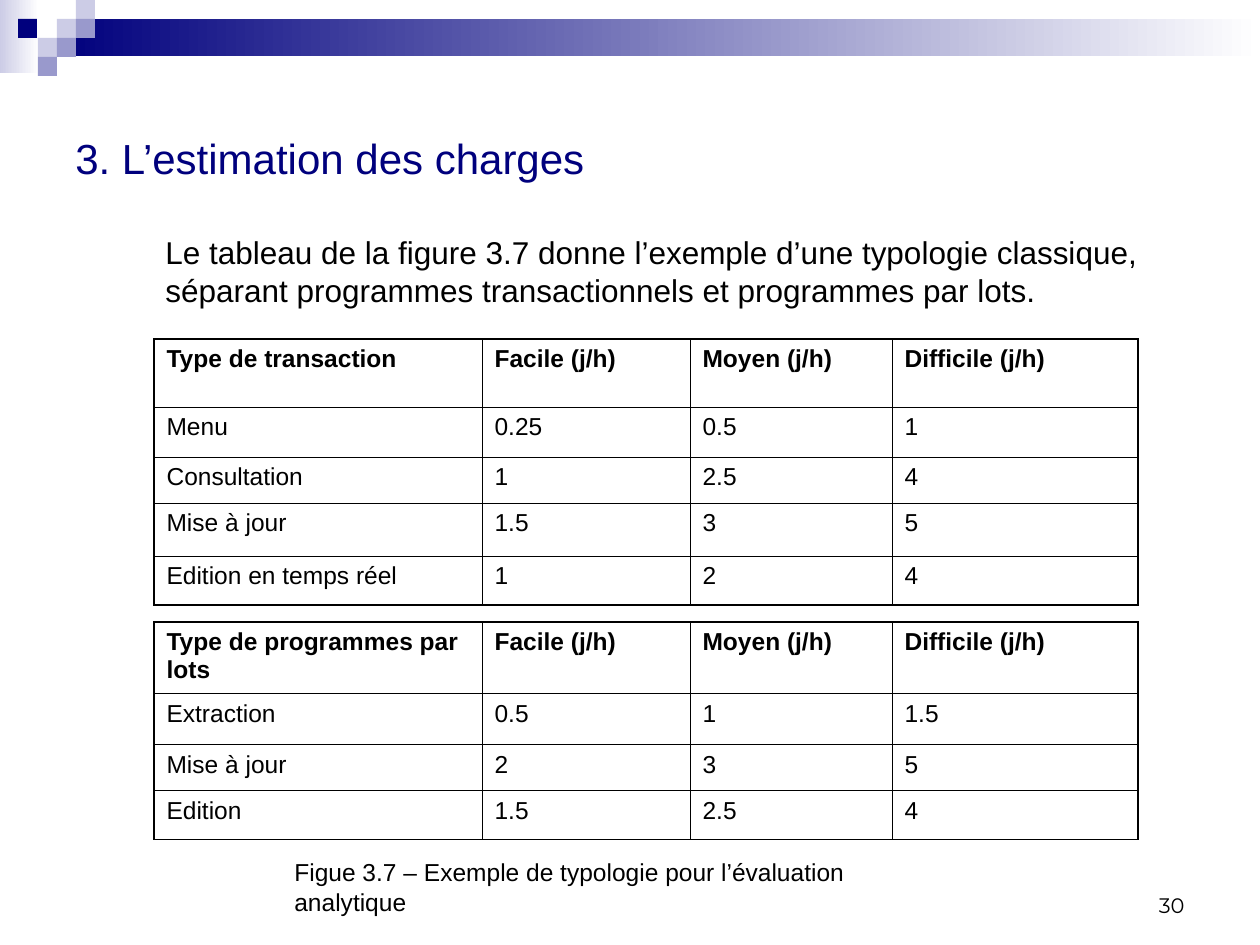
from lxml import etree
from pptx import Presentation
from pptx import util as u
from pptx.dml.color import RGBColor
from pptx.enum import shapes, text
from pptx.oxml import ns

PX = 914400 / 126
COLORS = {"navy": "00007D", "violet": "9999CC", "lilac": "CCCCE6",
          "white": "FFFFFF", "black": "000000"}
BANDS = [((0, 0, 39, 73), ("lilac", "white")),
         ((57, 19, 1203, 37), ("navy", "white"))]
SQUARE = 19
SQUARES = [(57, 19, "lilac"), (76, 0, "lilac"), (76, 19, "violet"), (38, 38, "lilac"),
           (18, 19, "navy"), (57, 38, "violet"), (38, 57, "violet")]
TEXTS = [
    ("30", (903, 861, 294, 63), 12, "Montserrat", "black", "BOTTOM", "RIGHT", True),
    ("3. L’estimation des charges", (63, 63, 1134, 189), 24, "Arial", "navy",
     "MIDDLE", "LEFT", True),
    ("Le tableau de la figure 3.7 donne l’exemple d’une typologie classique, "
     "séparant programmes transactionnels et programmes par lots.",
     (153, 227, 1049, 90), 18, "Arial", "black", "TOP", "LEFT", True),
    ("Figue 3.7 – Exemple de typologie pour l’évaluation analytique",
     (282, 851, 694, 43), 14, "Arial", "black", "TOP", "LEFT", False),
]
LEVELS = ["Facile (j/h)", "Moyen (j/h)", "Difficile (j/h)"]
TABLE_LEFT = 154
COLUMNS = [328, 208, 202, 246]
TABLES = [
    (339, [68, 50, 46, 53, 49], [
        ["Type de transaction", *LEVELS],
        ["Menu", "0.25", "0.5", "1"],
        ["Consultation", "1", "2.5", "4"],
        ["Mise à jour", "1.5", "3", "5"],
        ["Edition en temps réel", "1", "2", "4"]]),
    (622, [71, 51, 46, 49], [
        ["Type de programmes par lots", *LEVELS],
        ["Extraction", "0.5", "1", "1.5"],
        ["Mise à jour", "2", "3", "5"],
        ["Edition", "1.5", "2.5", "4"]]),
]


def emu(*lengths):
    return [round(length * PX) for length in lengths]


def rgb(name):
    return RGBColor.from_string(COLORS[name])


def style(para, size, face, color, bold=False):
    for span in para.runs:
        span.font.size = u.Pt(size)
        span.font.name = face
        span.font.bold = bold
        span.font.color.rgb = rgb(color)


def add_rect(page, frame, colors):
    rect = page.shapes.add_shape(shapes.MSO_SHAPE.RECTANGLE, *emu(*frame))
    rect.shadow.inherit = False
    rect.line.fill.background()
    if len(colors) == 1:
        rect.fill.solid()
        rect.fill.fore_color.rgb = rgb(colors[0])
        return
    rect.fill.gradient()
    rect.fill.gradient_angle = 0
    for stop, color in zip(rect.fill.gradient_stops, colors):
        stop.color.rgb = rgb(color)


def add_text(page, words, frame, size, face, color, anchor, align, wrap):
    box = page.shapes.add_textbox(*emu(*frame))
    box.text_frame.word_wrap = wrap
    box.text_frame.vertical_anchor = text.MSO_ANCHOR[anchor]
    box.text_frame.text = words
    para = box.text_frame.paragraphs[0]
    para.alignment = text.PP_ALIGN[align]
    style(para, size, face, color)


def add_border(cell, side, points):
    line = etree.Element(ns.qn(f"a:{side}"), w=str(u.Pt(points)))
    fill = etree.SubElement(line, ns.qn("a:solidFill"))
    etree.SubElement(fill, ns.qn("a:srgbClr"), val=COLORS["black"])
    return line


def add_table(page, top, heights, rows):
    frame = emu(TABLE_LEFT, top, sum(COLUMNS), sum(heights))
    table = page.shapes.add_table(len(rows), len(COLUMNS), *frame).table
    for column, width in zip(table.columns, emu(*COLUMNS)):
        column.width = width
    for row, height in zip(table.rows, emu(*heights)):
        row.height = height
    last_row, last_col = len(rows) - 1, len(COLUMNS) - 1
    for r, row in enumerate(rows):
        for c, words in enumerate(row):
            cell = table.cell(r, c)
            cell.text = words
            cell.fill.background()
            style(cell.text_frame.paragraphs[0], 14, "Arial", "black", r == 0)
            outer = {"lnL": c == 0, "lnR": c == last_col,
                     "lnT": r == 0, "lnB": r == last_row}
            props = cell._tc.get_or_add_tcPr()
            for i, (side, edge) in enumerate(outer.items()):
                props.insert(i, add_border(cell, side, 1.08 if edge else 0.45))


def main():
    deck = Presentation()
    deck.slide_width, deck.slide_height = emu(1260, 945)
    page = deck.slides.add_slide(deck.slide_layouts[6])
    for frame, colors in BANDS:
        add_rect(page, frame, colors)
    for left, top, color in SQUARES:
        add_rect(page, (left, top, SQUARE, SQUARE), [color])
    for entry in TEXTS:
        add_text(page, *entry)
    for entry in TABLES:
        add_table(page, *entry)
    deck.save("out.pptx")


if __name__ == "__main__":
    main()
